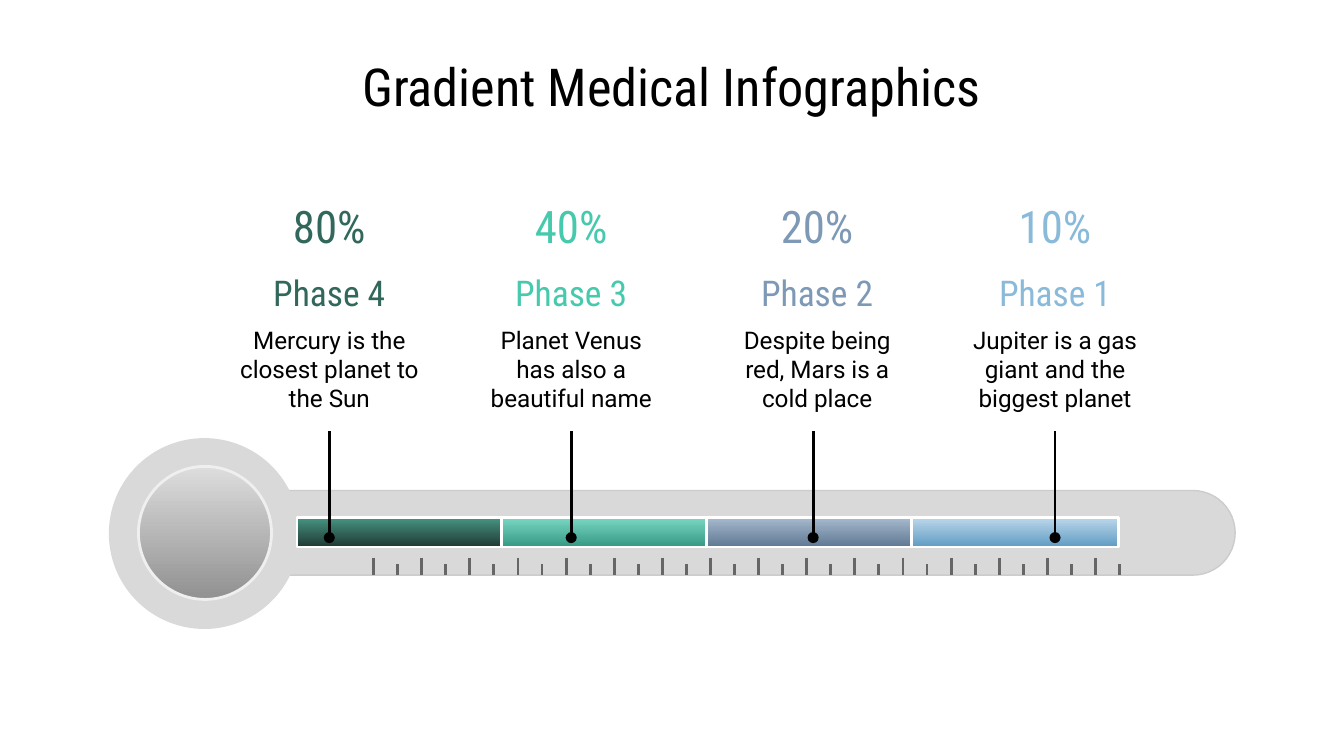
from dataclasses import dataclass

from lxml import etree
from pptx import Presentation
from pptx.dml.color import RGBColor
from pptx.enum.shapes import MSO_CONNECTOR, MSO_SHAPE
from pptx.enum.text import MSO_ANCHOR, MSO_AUTO_SIZE, PP_ALIGN
from pptx.oxml.ns import qn
from pptx.util import Inches, Pt

STRAIGHT = MSO_CONNECTOR.STRAIGHT
RECTANGLE, ROUNDED, OVAL = MSO_SHAPE.RECTANGLE, MSO_SHAPE.ROUNDED_RECTANGLE, MSO_SHAPE.OVAL
TOP, MIDDLE = MSO_ANCHOR.TOP, MSO_ANCHOR.MIDDLE
CENTER = PP_ALIGN.CENTER
NO_AUTOFIT = MSO_AUTO_SIZE.NONE

TITLE_ONLY = 5
PAGE_WIDTH = 10
PAGE_HEIGHT = PAGE_WIDTH * 9 / 16
HEADING_FONT, BODY_FONT = "Roboto Condensed", "Roboto"
COLORS = {
    "text": "000000",
    "glass": "D9D9D9",
    "glass edge": "CCCCCC",
    "tick": "666666",
    "bulb top": "DDDDDD",
    "bulb bottom": "919191",
    "bulb edge": "EFEFEF",
    "white": "FFFFFF",
    "dark green": "31685B",
    "dark green top": "469583",
    "dark green bottom": "203933",
    "mint": "46C9AC",
    "mint top": "79D8C3",
    "mint bottom": "369983",
    "slate": "7D99B6",
    "slate top": "A7BACE",
    "slate bottom": "5F7893",
    "sky": "8ABADA",
    "sky top": "BCD8EA",
    "sky bottom": "609CC4",
}

TICK_COUNT, FIRST_TICK, LAST_TICK = 32, 2.78, 8.33
FIRST_SEGMENT, LAST_SEGMENT = 2.21, 6.78
FIRST_POINTER, POINTER_STEP = 2.45, 1.8


@dataclass
class Phase:
    percent: str
    name: str
    description: str
    color: str
    center: float


PHASES = [
    Phase("80%", "Phase 4", "Mercury is the closest planet to the Sun", "dark green", 2.45),
    Phase("40%", "Phase 3", "Planet Venus has also a beautiful name", "mint", 4.25),
    Phase("20%", "Phase 2", "Despite being red, Mars is a cold place", "slate", 6.08),
    Phase("10%", "Phase 1", "Jupiter is a gas giant and the biggest planet", "sky", 7.85),
]


def rgb(color: str) -> RGBColor:
    return RGBColor.from_string(COLORS[color])


def write(box, text: str, *, size: float, font: str = HEADING_FONT,
          color: str = "text", anchor=MIDDLE) -> None:
    frame = box.text_frame
    frame.word_wrap = True
    frame.auto_size = NO_AUTOFIT
    frame.vertical_anchor = anchor
    frame.margin_left = frame.margin_right = Inches(0.1)
    frame.margin_top = frame.margin_bottom = Inches(0.1)
    para = frame.paragraphs[0]
    para.alignment = CENTER
    span = para.add_run()
    span.text = text
    span.font.size = Pt(size)
    span.font.name = font
    span.font.color.rgb = rgb(color)


def add_label(page, text: str, center: float, top: float, width: float,
              height: float, **text_format) -> None:
    box = page.shapes.add_textbox(
        Inches(center - width / 2), Inches(top), Inches(width), Inches(height))
    write(box, text, **text_format)


def add_filled_shape(page, kind, left: float, top: float, width: float, height: float,
                     fill: list[str], edge: str = "", edge_width: float = 1.5):
    """Use one fill colour for a plain shape, two for a gradient from top to bottom."""
    shape = page.shapes.add_shape(
        kind, Inches(left), Inches(top), Inches(width), Inches(height))
    shape.shadow.inherit = False
    if len(fill) == 1:
        shape.fill.solid()
        shape.fill.fore_color.rgb = rgb(fill[0])
    else:
        shape.fill.gradient()
        shape.fill.gradient_angle = 270
        for stop, color in zip(shape.fill.gradient_stops, fill):
            stop.color.rgb = rgb(color)
    if edge:
        shape.line.color.rgb = rgb(edge)
        shape.line.width = Pt(edge_width)
    else:
        shape.line.fill.background()
    return shape


def add_vertical_line(page, x: float, top: float, bottom: float, color: str,
                      dot_end: bool = False) -> None:
    line = page.shapes.add_connector(
        STRAIGHT, Inches(x), Inches(top), Inches(x), Inches(bottom))
    line.line.color.rgb = rgb(color)
    line.line.width = Pt(1.5)
    if dot_end:
        outline = line.line._get_or_add_ln()
        etree.SubElement(outline, qn("a:tailEnd"), type="oval", w="med", len="med")
    etree.SubElement(line._element.spPr, qn("a:effectLst"))


def add_thermometer(page) -> None:
    tube = add_filled_shape(page, ROUNDED, 1.34, 3.65, 7.85, 0.63,
                            ["glass"], "glass edge", 0.75)
    tube.adjustments[0] = 0.5
    tick_step = (LAST_TICK - FIRST_TICK) / (TICK_COUNT - 1)
    for index in range(TICK_COUNT):
        top = 4.2 if index % 2 else 4.15
        add_vertical_line(page, FIRST_TICK + index * tick_step, top, 4.28, "tick")
    add_filled_shape(page, OVAL, 0.81, 3.26, 1.42, 1.42, ["glass"])
    add_filled_shape(page, OVAL, 1.03, 3.47, 0.99, 0.99,
                     ["bulb top", "bulb bottom"], "bulb edge")


def add_phase_labels(page, phase: Phase) -> None:
    add_label(page, phase.description, phase.center, 2.32, 1.53, 0.86,
              size=13, font=BODY_FONT, anchor=TOP)
    add_label(page, phase.name, phase.center, 1.93, 1.53, 0.49, size=19, color=phase.color)
    add_label(page, phase.percent, phase.center, 1.53, 1.16, 0.3, size=24, color=phase.color)


def main() -> None:
    deck = Presentation()
    deck.slide_width, deck.slide_height = Inches(PAGE_WIDTH), Inches(PAGE_HEIGHT)
    page = deck.slides.add_slide(deck.slide_layouts[TITLE_ONLY])

    add_thermometer(page)
    title = page.shapes.title
    title.left, title.top = Inches(2.06), Inches(0.45)
    title.width, title.height = Inches(5.87), Inches(0.37)
    write(title, "Gradient Medical Infographics", size=28)

    segment_step = (LAST_SEGMENT - FIRST_SEGMENT) / (len(PHASES) - 1)
    for index, phase in enumerate(PHASES):
        add_phase_labels(page, phase)
        add_filled_shape(page, RECTANGLE, FIRST_SEGMENT + index * segment_step, 3.85, 1.54, 0.22,
                         [f"{phase.color} top", f"{phase.color} bottom"], "white")
    for index in range(len(PHASES)):
        add_vertical_line(page, FIRST_POINTER + index * POINTER_STEP, 3.21, 4, "text",
                          dot_end=True)

    deck.save("out.pptx")


if __name__ == "__main__":
    main()
